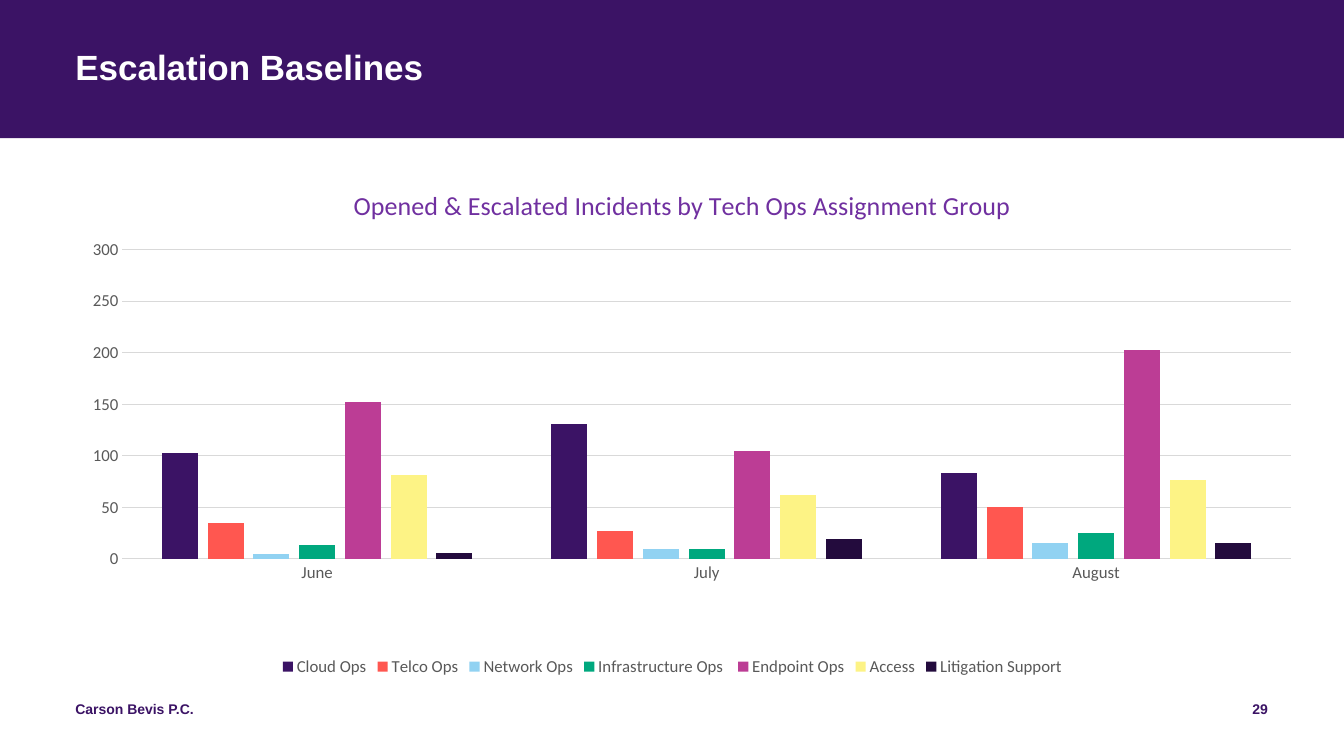
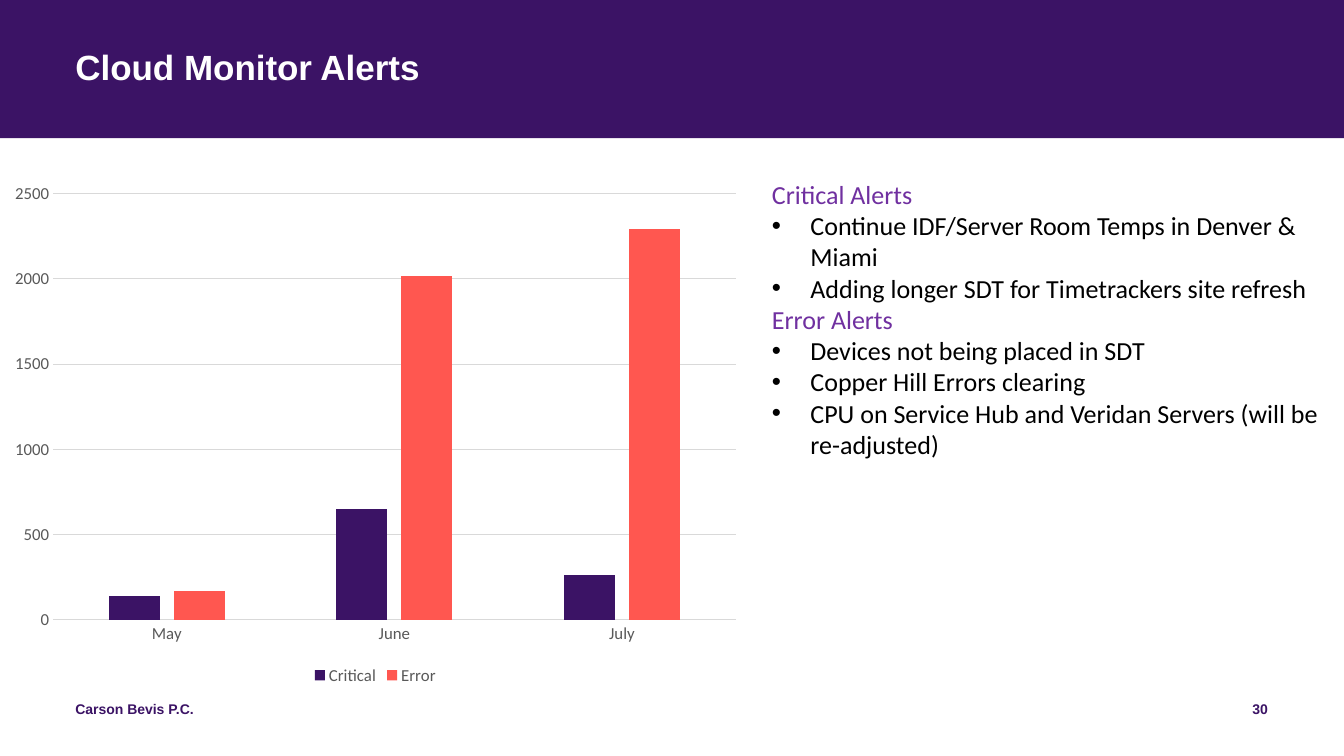
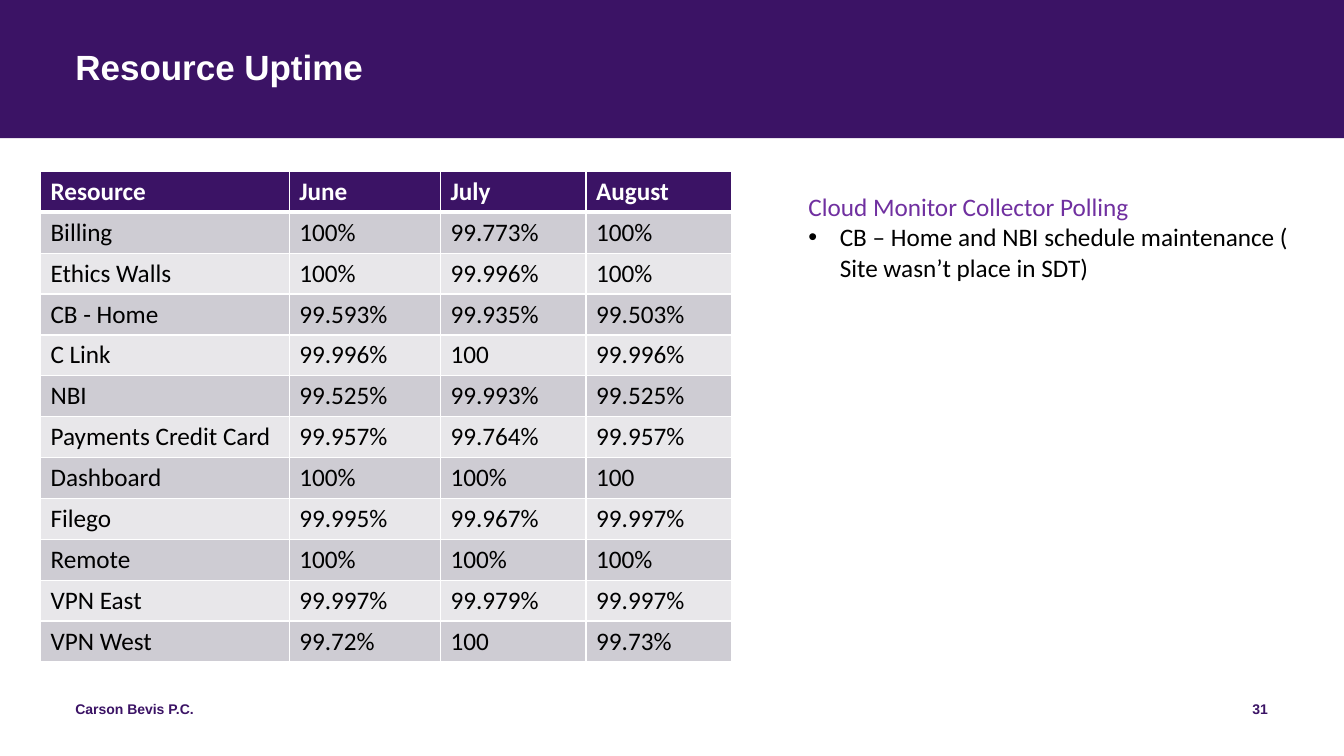
from lxml import etree
from pptx import Presentation
from pptx import util as u
from pptx.chart.data import CategoryChartData
from pptx.dml.color import RGBColor
from pptx.enum import chart as ch, shapes, text
from pptx.oxml.ns import qn

HUES = {
    "plum": "3B1365", "violet": "7030A0", "white": "FFFFFF", "black": "000000",
    "grey": "595959", "rule": "D9D9D9", "dark": "CECCD3", "light": "E8E7EA",
    "coral": "FF5750", "sky": "91D2F2", "green": "00A87E", "pink": "BC3D95",
    "lemon": "FDF385", "night": "230B3D",
}
HEAD, BODY = "Arial", "Calibri"
FIRM = "Carson Bevis P.C."
WIDE, HIGH, EDGE = 33.87, 19.05, 1.9


def hue(name):
    return RGBColor.from_string(HUES[name])


def style(font, size, color, face=BODY, bold=False):
    font.size, font.name, font.bold = u.Pt(size), face, bold
    font.color.rgb = hue(color)


def write(para, words, *look, **more):
    run = para.add_run()
    run.text = words
    style(run.font, *look, **more)


def fit(shape, box):
    shape.left, shape.top, shape.width, shape.height = map(u.Cm, box)


def bare(frame):
    """Remove the insets and pin the text to the top."""
    frame.margin_left = frame.margin_right = 0
    frame.margin_top = frame.margin_bottom = 0
    frame.vertical_anchor = text.MSO_ANCHOR.TOP
    frame.auto_size = text.MSO_AUTO_SIZE.NONE
    frame.word_wrap = True


def place(node, index, **spots):
    """Give a chart part a manual layout, in fractions of the chart."""
    old = node.find(qn("c:layout"))
    if old is not None:
        node.remove(old)
    layout = etree.Element(qn("c:layout"))
    node.insert(index, layout)
    manual = etree.SubElement(layout, qn("c:manualLayout"))
    if "w" in spots:
        etree.SubElement(manual, qn("c:layoutTarget"), val="inner")
    for key in "xy":
        etree.SubElement(manual, qn(f"c:{key}Mode"), val="edge")
    for key, value in spots.items():
        etree.SubElement(manual, qn(f"c:{key}"), val=str(value))


def bullet(para, indent):
    """Set a hanging bullet, or none when the indent is 0."""
    props = para._p.get_or_add_pPr()
    props.set("marL", str(u.Cm(indent)))
    props.set("indent", str(-u.Cm(indent)))
    if indent:
        etree.SubElement(props, qn("a:buFont"), typeface=HEAD)
        etree.SubElement(props, qn("a:buChar"), char="•")
    else:
        etree.SubElement(props, qn("a:buNone"))


def border(cell, **widths):
    """Draw white cell edges; widths in points by side."""
    props = cell._tc.get_or_add_tcPr()
    for side in "LRTB":
        size = u.Pt(widths.get(side, 1))
        line = etree.SubElement(props, qn(f"a:ln{side}"), w=str(size))
        fill = etree.SubElement(line, qn("a:solidFill"))
        etree.SubElement(fill, qn("a:srgbClr"), val=HUES["white"])


class Deck:
    def __init__(self, first):
        self.show = Presentation()
        self.show.slide_width, self.show.slide_height = u.Cm(WIDE), u.Cm(HIGH)
        self.page = first
        self.slide = None

    def start(self, title, layout):
        self.slide = self.show.slides.add_slide(self.show.slide_layouts[layout])
        if len(self.show.slides) == 1:
            self.band()
        head = self.slide.shapes.title
        fit(head, (EDGE, 1.27, 30.05, 2.06))
        bare(head.text_frame)
        para = head.text_frame.paragraphs[0]
        para.alignment, para.line_spacing = text.PP_ALIGN.LEFT, 0.9
        write(para, title, 25, "white", HEAD, bold=True)
        self.note(FIRM, EDGE, 11.43, text.PP_ALIGN.LEFT)
        self.note(str(self.page), 24.33, 7.62, text.PP_ALIGN.RIGHT)
        self.page += 1

    def band(self):
        """Put the title band on the master, behind everything."""
        band = self.slide.shapes.add_shape(
            shapes.MSO_SHAPE.RECTANGLE, 0, 0, u.Cm(WIDE), u.Cm(3.48))
        band.shadow.inherit = False
        band.fill.solid()
        band.fill.fore_color.rgb = hue("plum")
        band.line.fill.background()
        self.show.slide_master.shapes.element.insert(2, band.element)

    def note(self, words, left, width, align):
        box = self.slide.shapes.add_textbox(
            u.Cm(left), u.Cm(17.65), u.Cm(width), u.Cm(1.02))
        bare(box.text_frame)
        para = box.text_frame.paragraphs[0]
        para.alignment = align
        write(para, words, 10, "plum", HEAD, bold=True)

    def points(self, box, size, indent, groups):
        body = self.slide.placeholders[1]
        fit(body, box)
        frame = body.text_frame
        frame.auto_size = text.MSO_AUTO_SIZE.NONE
        frame.vertical_anchor = text.MSO_ANCHOR.TOP
        rows = []
        for head, items in groups.items():
            rows.append((head, "violet", 0))
            rows += [(item, "black", indent) for item in items]
        for i, (words, color, hang) in enumerate(rows):
            para = frame.add_paragraph() if i else frame.paragraphs[0]
            para.space_before = u.Pt(0)
            bullet(para, hang)
            write(para, words, size, color)

    def columns(self, box, months, series, top, step, title=None):
        data = CategoryChartData()
        data.categories = months
        for name, _, values in series:
            data.add_series(name, values)
        chart = self.slide.shapes.add_chart(
            ch.XL_CHART_TYPE.COLUMN_CLUSTERED, *map(u.Cm, box), data).chart
        style(chart.font, 10, "black")
        chart.has_title = bool(title)
        if title:
            para = chart.chart_title.text_frame.paragraphs[0]
            write(para, title, 18.6, "violet")
            chart.chart_title.include_in_layout = False
            place(chart.chart_title._element, 1, x=0.25, y=0.05)
            area = chart._chartSpace.find(".//" + qn("c:plotArea"))
            place(area, 0, x=0.075, y=0.178, w=0.903, h=0.59)
        chart.has_legend = True
        chart.legend.position = ch.XL_LEGEND_POSITION.BOTTOM
        chart.legend.include_in_layout = False
        style(chart.legend.font, 12, "grey")
        plot = chart.plots[0]
        plot.gap_width, plot.overlap = 219, -27
        plot.vary_by_categories = False
        for part, (_, color, _) in zip(plot.series, series):
            part.format.fill.solid()
            part.format.fill.fore_color.rgb = hue(color)
            part.invert_if_negative = False
        base, scale = chart.category_axis, chart.value_axis
        for axis in (base, scale):
            axis.major_tick_mark = axis.minor_tick_mark = ch.XL_TICK_MARK.NONE
            style(axis.tick_labels.font, 12, "grey")
        scale.minimum_scale, scale.maximum_scale = 0, top
        scale.major_unit = step
        scale.has_major_gridlines = True
        scale.format.line.fill.background()
        for line in (base.format.line, scale.major_gridlines.format.line):
            line.width = u.Pt(0.75)
            line.color.rgb = hue("rule")

    def table(self, left, top, widths, tall, rows):
        grid = self.slide.shapes.add_table(
            len(rows), len(widths), u.Cm(left), u.Cm(top),
            u.Cm(sum(widths)), u.Cm(tall * len(rows))).table
        for col, width in zip(grid.columns, widths):
            col.width = u.Cm(width)
        for r, row in enumerate(rows):
            grid.rows[r].height = u.Cm(tall)
            head = r == 0
            fill = "plum" if head else "dark" if r % 2 else "light"
            for c, words in enumerate(row):
                cell = grid.cell(r, c)
                border(cell, B=3 if head else 1, T=3 if r == 1 else 1)
                cell.fill.solid()
                cell.fill.fore_color.rgb = hue(fill)
                write(cell.text_frame.paragraphs[0], words, 18,
                      "white" if head else "black", bold=head)


def main():
    deck = Deck(first=29)

    deck.start("Escalation Baselines", layout=5)
    deck.columns((0.64, 3.94, 32.61, 13.21), ["June", "July", "August"], [
        ("Cloud Ops", "plum", (103, 131, 83)),
        ("Telco Ops", "coral", (35, 27, 50)),
        ("Network Ops", "sky", (5, 10, 15)),
        ("Infrastructure Ops ", "green", (13, 10, 25)),
        ("Endpoint Ops", "pink", (152, 105, 203)),
        ("Access", "lemon", (81, 62, 76)),
        ("Litigation Support", "night", (6, 19, 15)),
    ], 300, 50, "Opened & Escalated Incidents by Tech Ops Assignment Group")

    deck.start("Cloud Monitor Alerts", layout=1)
    deck.points((19.2, 4.37, 14.66, 7.42), 18.6, 0.97, {
        "Critical Alerts": [
            "Continue IDF/Server Room Temps in Denver & Miami",
            "Adding longer SDT for Timetrackers site refresh",
        ],
        "Error Alerts": [
            "Devices not being placed in SDT",
            "Copper Hill Errors clearing",
            "CPU on Service Hub and Veridan Servers (will be re-adjusted)",
        ],
    })
    deck.columns((0, 4.37, 18.92, 13), ["May", "June", "July"], [
        ("Critical", "plum", (140, 650, 260)),
        ("Error", "coral", (170, 2020, 2290)),
    ], 2500, 500)

    deck.start("Resource Uptime", layout=1)
    deck.table(1.02, 4.32, (6.27, 3.81, 3.67, 3.67), 1.03, [
        ("Resource", "June", "July", "August"),
        ("Billing", "100%", "99.773%", "100%"),
        ("Ethics Walls", "100%", "99.996%", "100%"),
        ("CB - Home", "99.593%", "99.935%", "99.503%"),
        ("C Link", "99.996%", "100", "99.996%"),
        ("NBI", "99.525%", "99.993%", "99.525%"),
        ("Payments Credit Card", "99.957%", "99.764%", "99.957%"),
        ("Dashboard", "100%", "100%", "100"),
        ("Filego", "99.995%", "99.967%", "99.997%"),
        ("Remote", "100%", "100%", "100%"),
        ("VPN East", "99.997%", "99.979%", "99.997%"),
        ("VPN West", "99.72%", "100", "99.73%"),
    ])
    deck.points((20.12, 4.7, 12.73, 2.57), 18, 0.79, {
        "Cloud Monitor Collector Polling": [
            "CB – Home and NBI schedule maintenance ( Site wasn’t place in SDT)",
        ],
    })
    deck.show.save("out.pptx")


if __name__ == "__main__":
    main()
